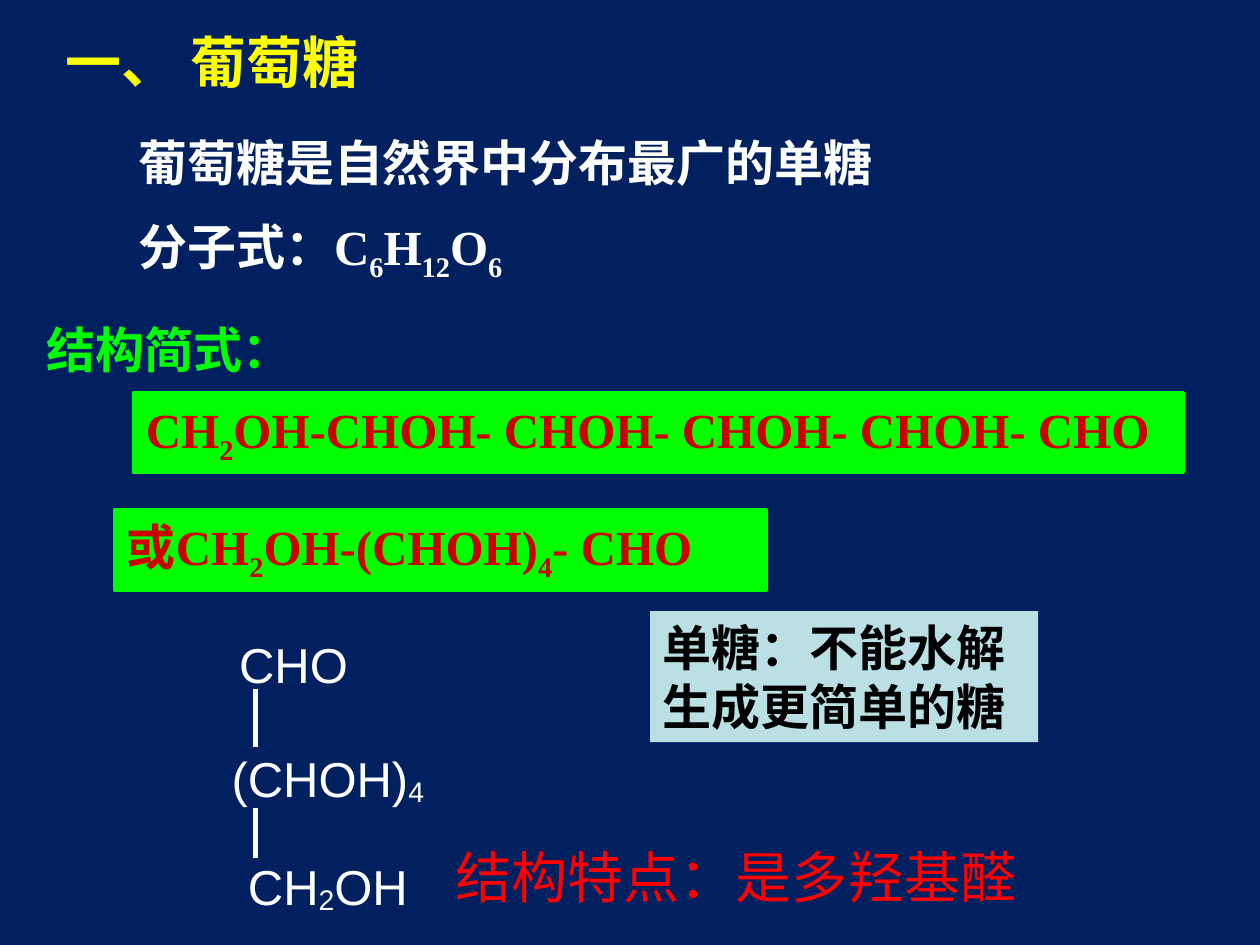
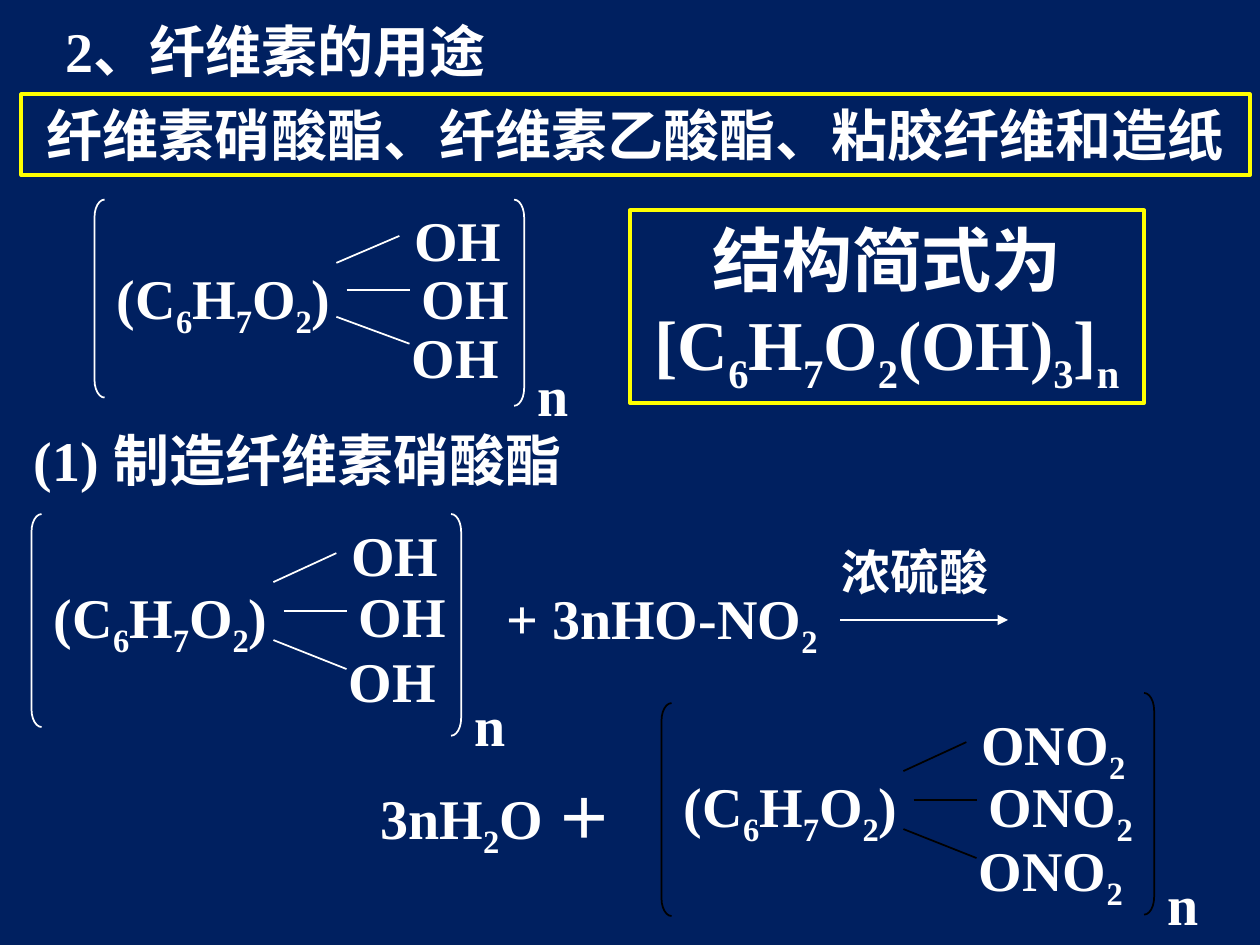
from lxml.etree import SubElement
from pptx import Presentation
from pptx.dml.color import RGBColor
from pptx.enum.shapes import MSO_CONNECTOR as Connector, MSO_SHAPE as Shape
from pptx.enum.text import MSO_ANCHOR as Anchor, MSO_AUTO_SIZE as AutoSize, PP_ALIGN as Align
from pptx.oxml.ns import qn
from pptx.util import Inches, Pt

NAVY = RGBColor(0x00, 0x20, 0x60)
WHITE = RGBColor(0xFF, 0xFF, 0xFF)
BLACK = RGBColor(0x00, 0x00, 0x00)
YELLOW = RGBColor(0xFF, 0xFF, 0x00)
GREEN = RGBColor(0x00, 0xFF, 0x00)
RED = RGBColor(0xFF, 0x00, 0x00)
CRIMSON = RGBColor(0xCC, 0x00, 0x00)
PALE_BLUE = RGBColor(0xBB, 0xE0, 0xE3)

SERIF = "Times New Roman"
SANS = "Arial"


class Lesson:
    """Holds the deck, the current page and the shapes being drawn into."""

    def __init__(self):
        self.deck = Presentation()
        self.deck.slide_width = Inches(10)
        self.deck.slide_height = Inches(7.5)

    def new_page(self):
        self.page = self.deck.slides.add_slide(self.deck.slide_layouts[6])
        self.page.background.fill.solid()
        self.page.background.fill.fore_color.rgb = NAVY
        self.shapes = self.page.shapes

    def start_group(self):
        self.shapes = self.page.shapes.add_group_shape().shapes

    def end_group(self):
        self.shapes = self.page.shapes

    def fill_text(self, box, text, size, color, font=SERIF, align=Align.LEFT, drop=-25):
        """Fill a box with text; parts between underscores become subscripts."""
        frame = box.text_frame
        frame.word_wrap = True
        frame.auto_size = AutoSize.SHAPE_TO_FIT_TEXT
        frame.vertical_anchor = Anchor.TOP
        para = frame.paragraphs[0]
        para.alignment = align
        para.font.name = font
        para.font.size = Pt(size)
        para.font.bold = font == SERIF
        para.font.color.rgb = color
        for index, part in enumerate(text.split("_")):
            if part:
                span = para.add_run()
                span.text = part
                if index % 2:
                    span._r.get_or_add_rPr().set("baseline", str(drop * 1000))

    def text(self, left, top, width, height, text, size=32, color=WHITE, **style):
        box = self.shapes.add_textbox(Inches(left), Inches(top), Inches(width), Inches(height))
        self.fill_text(box, text, size, color, **style)

    def shape(self, kind, left, top, width, height, fill=None, line=None, weight=2.25):
        shape = self.shapes.add_shape(
            kind, Inches(left), Inches(top), Inches(width), Inches(height))
        shape.shadow.inherit = False
        if fill is None:
            shape.fill.background()
        else:
            shape.fill.solid()
            shape.fill.fore_color.rgb = fill
        if line is None:
            shape.line.fill.background()
        else:
            shape.line.color.rgb = line
            shape.line.width = Pt(weight)
        return shape

    def panel(self, left, top, width, height, text, size=32, color=WHITE,
              fill=None, line=None, **style):
        box = self.shape(Shape.RECTANGLE, left, top, width, height, fill, line)
        self.fill_text(box, text, size, color, **style)

    def line(self, start, end, color=WHITE, weight=1, arrow=False):
        line = self.shapes.add_connector(
            Connector.STRAIGHT, *(Inches(value) for value in (*start, *end)))
        line.line.color.rgb = color
        line.line.width = Pt(weight)
        properties = line._element.spPr
        if arrow:
            SubElement(properties.get_or_add_ln(), qn("a:tailEnd"), type="triangle")
        SubElement(properties, qn("a:effectLst"))

    def bracket(self, kind, left, top, height, color):
        width, corner = 0.08, 0.14
        bracket = self.shape(kind, left, top, width, height, line=color, weight=1)
        bracket.adjustments[0] = corner / width

    def cellulose_unit(self, left, top, branch, branch_height=0.64, color=WHITE,
                       scale=1, widen=0, lift=0):
        """Draw a bracketed C6H7O2 core with three branches, repeated n times."""
        self.start_group()
        self.text(left, top, 2, 0.71, "(C_6_H_7_O_2_)")
        bonds = ((1.84, 0.05, 2.34, -0.18), (1.92, 0.28, 2.42, 0.28), (1.84, 0.51, 2.42, 0.74))
        for x1, y1, x2, y2 in bonds:
            self.line((left + x1, top + y1 * scale), (left + x2, top + y2 * scale), color)
        for x, y in ((2.36, -0.49), (2.42, 0), (2.34, 0.51)):
            self.text(left + x, top + y * scale, 1.25 + widen, branch_height, branch)
        bracket_top = top - 0.49 * scale
        self.bracket(Shape.LEFT_BRACKET, left - 0.08, bracket_top, 1.69 * scale, color)
        right, height = left + 3.25 + widen, 1.76 * scale
        self.bracket(Shape.RIGHT_BRACKET, right, bracket_top - lift, height, color)
        self.text(right + 0.09, bracket_top - lift + height - 0.41, 0.58, 0.64, "n")
        self.end_group()


def glucose_page(lesson):
    lesson.new_page()
    formula = dict(size=28, color=CRIMSON, fill=GREEN, line=GREEN)
    lesson.panel(1.06, 3.12, 8.33, 0.63, "CH_2_OH-CHOH- CHOH- CHOH- CHOH- CHO", **formula)
    lesson.panel(0.91, 4.05, 5.17, 0.63, "或CH_2_OH-(CHOH)_4_- CHO", **formula)
    lesson.panel(5.16, 4.85, 3.08, 1.04, "单糖：不能水解生成更简单的糖", 28, BLACK, PALE_BLUE)
    lesson.text(1, 1.67, 5.25, 0.63, "分子式：C_6_H_12_O_6", 28)
    lesson.text(1, 1, 6.83, 0.57, "葡萄糖是自然界中分布最广的单糖", 28)
    lesson.text(0.27, 2.49, 2.17, 0.57, "结构简式：", 28, GREEN)

    lesson.start_group()
    for left, top, text in ((1.8, 4.99, "CHO"), (1.74, 5.89, "(CHOH)_4"), (1.87, 6.75, "CH_2_OH")):
        lesson.text(left, top, 1.8, 0.58, text, 28, font=SANS, drop=-10)
    for top, bottom in ((5.47, 5.93), (6.41, 6.81)):
        lesson.line((2.03, top), (2.03, bottom), weight=3)
    lesson.end_group()

    lesson.text(3.52, 6.64, 4.66, 0.64, "结构特点：是多羟基醛", color=RED, font=SANS)
    lesson.text(0.42, 0.17, 2.79, 0.64, "一、 葡萄糖", color=YELLOW)


def cellulose_page(lesson):
    lesson.new_page()
    lesson.text(0.42, 0.08, 5.58, 0.64, "2、纤维素的用途")
    framed = dict(line=YELLOW, align=Align.CENTER)
    lesson.panel(0.17, 0.75, 9.75, 0.64, "纤维素硝酸酯、纤维素乙酸酯、粘胶纤维和造纸", **framed)
    lesson.cellulose_unit(0.83, 2.04, "OH", scale=0.93)
    lesson.panel(5, 1.67, 4.08, 1.53, "结构简式为[C_6_H_7_O_2_(OH)_3_]_n", 40, **framed)

    lesson.text(0.17, 3.33, 4.92, 0.64, "(1) 制造纤维素硝酸酯")
    lesson.cellulose_unit(0.33, 4.57, "OH")
    lesson.text(3.92, 4.58, 2.83, 0.71, "+ 3nHO-NO_2")
    lesson.text(6.58, 4.25, 1.83, 0.57, "浓硫酸", 28)
    lesson.line((6.67, 4.92), (8, 4.92), arrow=True)
    lesson.text(2.92, 6.17, 2.17, 0.71, "3nH_2_O ＋")
    lesson.cellulose_unit(5.33, 6.07, "ONO_2", branch_height=0.71, color=BLACK,
                          widen=0.5, lift=0.08)


def main():
    lesson = Lesson()
    glucose_page(lesson)
    cellulose_page(lesson)
    lesson.deck.save("out.pptx")


if __name__ == "__main__":
    main()
